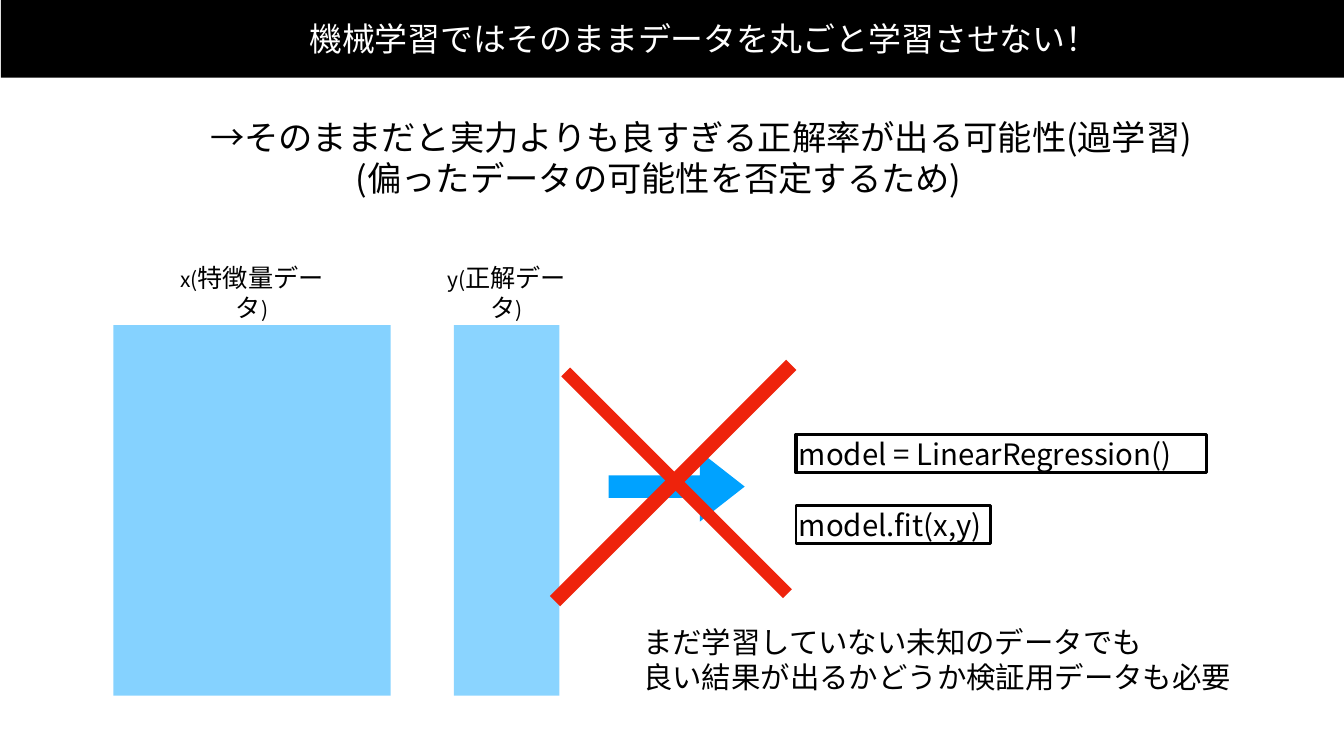
from pptx import Presentation
from pptx.dml.color import RGBColor
from pptx.enum.shapes import MSO_SHAPE
from pptx.enum.text import MSO_ANCHOR, MSO_AUTO_SIZE, PP_ALIGN
from pptx.oxml.ns import qn
from pptx.util import Inches, Pt
from lxml import etree

RECTANGLE, ARROW = MSO_SHAPE.RECTANGLE, MSO_SHAPE.RIGHT_ARROW
LEFT, CENTER = PP_ALIGN.LEFT, PP_ALIGN.CENTER
MIDDLE, FIXED_SIZE = MSO_ANCHOR.MIDDLE, MSO_AUTO_SIZE.NONE

THEME = {
    "font": "Noto Sans CJK JP",
    "black": RGBColor.from_string("000000"),
    "white": RGBColor.from_string("FFFFFF"),
    "blue": RGBColor.from_string("00A2FF"),
    "red": RGBColor.from_string("EE230C"),
    "title": 47, "lead": 49, "body": 42, "label": 36, "symbol": 30,
    "leading": 1.2,
}

deck = Presentation()
deck.slide_width, deck.slide_height = Inches(26.67), Inches(15)
page = deck.slides.add_slide(deck.slide_layouts[6])
COLUMN, ROW = deck.slide_width / 100, deck.slide_height / 100


def add_box(left, top, width, height, kind=RECTANGLE, fill=None, alpha=None, line=None, turn=0):
    box = page.shapes.add_shape(kind, round(left * COLUMN), round(top * ROW),
                                round(width * COLUMN), round(height * ROW))
    box.shadow.inherit = False
    box.rotation = turn
    if fill is None:
        box.fill.background()
    else:
        box.fill.solid()
        box.fill.fore_color.rgb = fill
    if alpha:
        color = box.fill._xPr.find(qn("a:solidFill"))[0]
        etree.SubElement(color, qn("a:alpha")).set("val", str(alpha * 1000))
    if line:
        box.line.color.rgb = THEME["black"]
        box.line.width = Pt(line)
    else:
        box.line.fill.background()
    return box


def write_text(box, paragraphs, color=THEME["black"], align=LEFT, indents=()):
    frame = box.text_frame
    frame.word_wrap = True
    frame.auto_size = FIXED_SIZE
    frame.vertical_anchor = MIDDLE
    frame.margin_left = frame.margin_right = Inches(0.06)
    frame.margin_top = frame.margin_bottom = Inches(0.06)
    for index, spans in enumerate(paragraphs):
        para = frame.paragraphs[0] if index == 0 else frame.add_paragraph()
        para.alignment = align
        para.line_spacing = Pt(round(THEME["leading"] * max(size for _, size in spans)))
        if index < len(indents):
            para._p.get_or_add_pPr().set("marL", str(Inches(indents[index])))
        for words, size in spans:
            span = para.add_run()
            span.text = words
            span.font.size = Pt(size)
            span.font.name = THEME["font"]
            span.font.color.rgb = color
            east_asian = etree.SubElement(span.font._element, qn("a:ea"))
            east_asian.set("typeface", THEME["font"])


lead = add_box(15.41, 14.73, 73.98, 12.2)
write_text(lead, [[("→そのままだと実力よりも良すぎる正解率が出る可能性(過学習)", THEME["lead"])],
                  [("(偏ったデータの可能性を否定するため)", THEME["lead"])]], indents=(0, 2.89))

add_box(0.07, -0.07, 100, 10.33, fill=THEME["black"])
title = add_box(16.01, 2.53, 72.78, 5.13, fill=THEME["black"])
write_text(title, [[("機械学習ではそのままデータを丸ごと学習させない！", THEME["title"])]],
           color=THEME["white"], align=CENTER)

for left, width, alpha, label_width, symbol, words in (
        (8.44, 20.62, 48, 13.42, "x(", "特徴量データ"),
        (33.78, 7.84, 46, 11.55, "y(", "正解データ")):
    add_box(left, 43, width, 49, fill=THEME["blue"], alpha=alpha)
    label = add_box(left + (width - label_width) / 2, 36.27, label_width, 4.8)
    write_text(label, [[(symbol, THEME["symbol"]), (words, THEME["label"]),
                        (")", THEME["symbol"])]], align=CENTER)

for top, width, line, code in ((57.47, 30.56, 5, "model = LinearRegression()"),
                               (66.87, 14.47, 4, "model.fit(x,y)")):
    code_box = add_box(59.22, top, width, 5.03, line=line)
    write_text(code_box, [[(code, THEME["body"])]])

arrow = add_box(45.29, 59.73, 10.12, 9.27, kind=ARROW, fill=THEME["blue"])
arrow.adjustments[0], arrow.adjustments[1] = 0.32, 0.64

note = add_box(47.62, 81.93, 44.21, 10.47)
write_text(note, [[("まだ学習していない未知のデータでも", THEME["body"])],
                  [("良い結果が出るかどうか検証用データも必要", THEME["body"])]])

for stroke in ((49.87, 43.13, 0.94, 41.47), (37.65, 62.93, 24.86, 1.93)):
    add_box(*stroke, fill=THEME["red"], turn=315)

deck.save("out.pptx")
